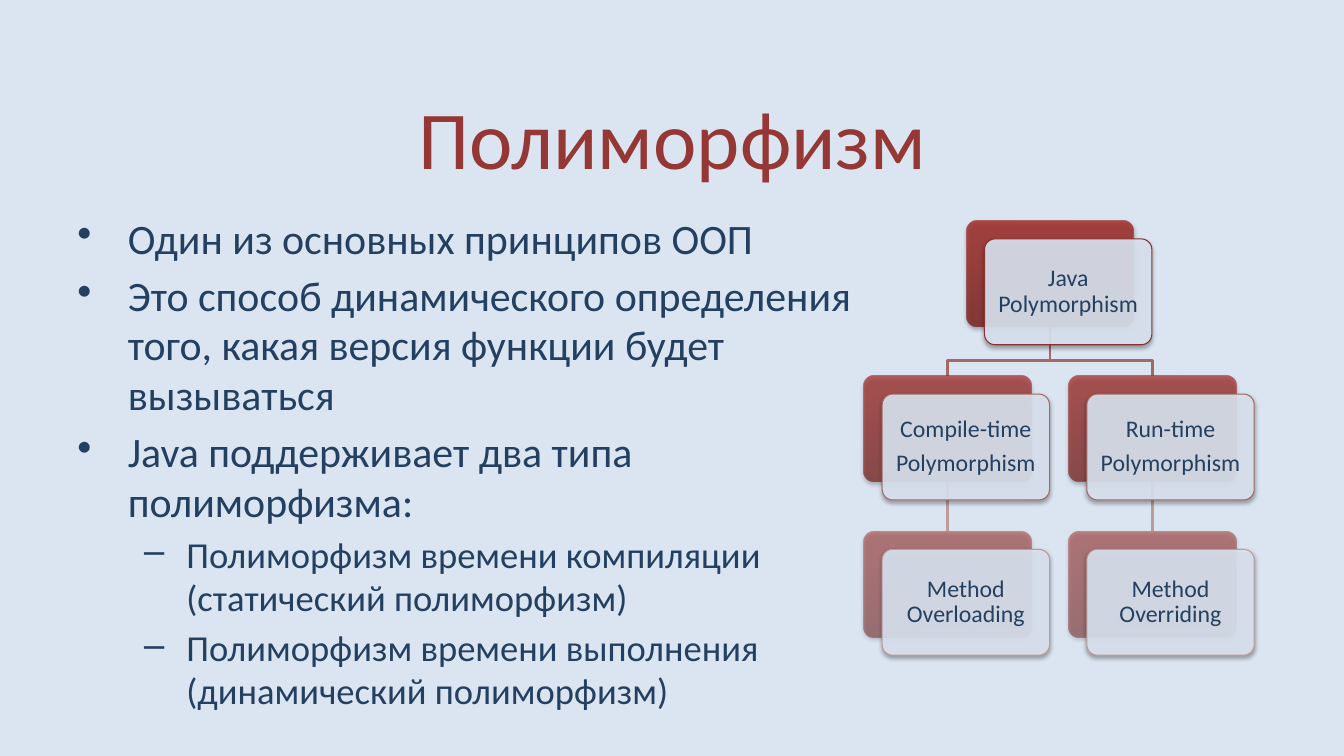
from pptx import Presentation
from pptx.dml.color import RGBColor
from pptx.enum.shapes import MSO_CONNECTOR, MSO_SHAPE
from pptx.enum.text import MSO_ANCHOR, PP_ALIGN
from pptx.oxml import parse_xml
from pptx.oxml.ns import nsdecls, qn
from pptx.oxml.xmlchemy import OxmlElement
from pptx.util import Inches, Pt

FONT = "Calibri"
BACKGROUND, TITLE_COLOR, TEXT_COLOR = "DBE5F1", "953734", "244061"
GRADIENT = ((0, "7A1F1C"), (80, "9E2824"), (100, "A22622"))

CARD_WIDTH, CARD_HEIGHT, CARD_OFFSET = 1.66, 1.05, 0.18
TREE_LEFT, TREE_TOP = 8.57, 2.19
COLUMN_STEP, ROW_STEP = 2.03, 1.54
BRANCH_DROP = 0.34
LEVEL_LINES = ("87322F", "A46867", "BD9B9B")
LEVEL_OPACITY = (80, 70, 50)

# column, level, lines of the card
CARDS = (
    (0.5, 0, ["Java Polymorphism"]),
    (0, 1, ["Compile-time", "Polymorphism"]),
    (0, 2, ["Method Overloading"]),
    (1, 1, ["Run-time", "Polymorphism"]),
    (1, 2, ["Method Overriding"]),
)

# level, text
BULLETS = (
    (0, "Один из основных принципов ООП"),
    (0, "Это способ динамического определения того, какая версия функции будет вызываться"),
    (0, "Java поддерживает два типа полиморфизма:"),
    (1, "Полиморфизм времени компиляции (статический полиморфизм)"),
    (1, "Полиморфизм времени выполнения (динамический полиморфизм)"),
)
# symbol, left margin, hanging indent, size
BULLET_STYLES = (("•", 0.5, 0.5, 29.9), ("–", 1.08, 0.42, 26.1))


def color(hex_string):
    return RGBColor.from_string(hex_string)


def write(paragraph, text, size, text_color=TEXT_COLOR, align=PP_ALIGN.LEFT,
          line_spacing=None, before=0, after=0):
    paragraph.alignment = align
    paragraph.line_spacing = line_spacing
    paragraph.space_before, paragraph.space_after = Pt(before), Pt(after)
    run = paragraph.add_run()
    run.text = text
    run.font.name, run.font.size = FONT, Pt(size)
    run.font.color.rgb = color(text_color)


def paragraphs(frame, count):
    """Return the given number of paragraphs, the first one included."""
    return [frame.paragraphs[0]] + [frame.add_paragraph() for _ in range(count - 1)]


def card_corner(column, level):
    return TREE_LEFT + column * COLUMN_STEP, TREE_TOP + level * ROW_STEP


class TreeSlide:
    def __init__(self, presentation):
        self.slide = presentation.slides.add_slide(presentation.slide_layouts[5])
        self.shapes = self.slide.shapes
        fill = self.slide.background.fill
        fill.solid()
        fill.fore_color.rgb = color(BACKGROUND)

    def title(self, text, left, top, width, height):
        title = self.shapes.title
        title.left, title.top = Inches(left), Inches(top)
        title.width, title.height = Inches(width), Inches(height)
        title.text_frame.vertical_anchor = MSO_ANCHOR.MIDDLE
        write(title.text_frame.paragraphs[0], text, 58.7, TITLE_COLOR, PP_ALIGN.CENTER)

    def bullets(self, items, left, top, width, height):
        box = self.shapes.add_textbox(Inches(left), Inches(top), Inches(width), Inches(height))
        frame = box.text_frame
        frame.word_wrap = True
        rows = zip(paragraphs(frame, len(items)), items)
        for index, (paragraph, (level, text)) in enumerate(rows):
            symbol, margin, hanging, size = BULLET_STYLES[level]
            paragraph.level = level
            write(paragraph, text, size, line_spacing=0.98,
                  align=PP_ALIGN.LEFT if index else PP_ALIGN.JUSTIFY,
                  before=size * 0.2 if index else 0)
            properties = paragraph._p.get_or_add_pPr()
            properties.set("marL", str(Inches(margin)))
            properties.set("indent", str(-Inches(hanging)))
            bullet = OxmlElement("a:buChar")
            bullet.set("char", symbol)
            properties.append(bullet)

    def line(self, points, line_color):
        """Draw an open line through the points: straight or with corners."""
        points = [(Inches(x), Inches(y)) for x, y in points]
        if len(points) == 2:
            shape = self.shapes.add_connector(MSO_CONNECTOR.STRAIGHT, *points[0], *points[1])
            shape._element.spPr.append(OxmlElement("a:effectLst"))
        else:
            builder = self.shapes.build_freeform(*points[0])
            builder.add_line_segments(points[1:], close=False)
            shape = builder.convert_to_shape()
            shape.fill.background()
            shape.shadow.inherit = False
        shape.line.color.rgb = color(line_color)
        shape.line.width = Pt(2)

    def rounded(self, left, top):
        """Add a rounded rectangle of card size with a soft shadow."""
        shape = self.shapes.add_shape(MSO_SHAPE.ROUNDED_RECTANGLE, Inches(left), Inches(top),
                                      Inches(CARD_WIDTH), Inches(CARD_HEIGHT))
        shape.adjustments[0] = 0.1
        shape.shadow.inherit = False
        shape._element.spPr.find(qn("a:effectLst")).append(parse_xml(
            f'<a:outerShdw {nsdecls("a")} blurRad="{Pt(3.1)}" dist="{Pt(1.8)}" dir="5400000"'
            ' rotWithShape="0"><a:srgbClr val="000000"><a:alpha val="35000"/></a:srgbClr>'
            '</a:outerShdw>'))
        return shape

    def card(self, column, level, lines):
        left, top = card_corner(column, level)
        back = self.rounded(left, top)
        back.line.fill.background()
        back.fill.background()
        properties = back._element.spPr
        stops = "".join(
            f'<a:gs pos="{position * 1000}"><a:srgbClr val="{stop_color}">'
            f'<a:alpha val="{LEVEL_OPACITY[level] * 1000}"/></a:srgbClr></a:gs>'
            for position, stop_color in GRADIENT)
        properties.replace(properties.find(qn("a:noFill")), parse_xml(
            f'<a:gradFill {nsdecls("a")} rotWithShape="1"><a:gsLst>{stops}</a:gsLst>'
            '<a:lin ang="16200000" scaled="0"/></a:gradFill>'))

        front = self.rounded(left + CARD_OFFSET, top + CARD_OFFSET)
        front.fill.solid()
        front.fill.fore_color.rgb = color(BACKGROUND)
        alpha = OxmlElement("a:alpha")
        alpha.set("val", "90000")
        front._element.spPr.find(qn("a:solidFill"))[0].append(alpha)
        front.line.color.rgb = color(LEVEL_LINES[level])
        front.line.width = Pt(0.75)
        frame = front.text_frame
        frame.word_wrap = True
        frame.vertical_anchor = MSO_ANCHOR.MIDDLE
        frame.margin_left = frame.margin_right = Inches(0.07)
        frame.margin_top = frame.margin_bottom = Inches(0.07)
        for paragraph, text in zip(paragraphs(frame, len(lines)), lines):
            write(paragraph, text, 17, align=PP_ALIGN.CENTER, line_spacing=0.9, after=6)

    def branch(self, parent, child):
        """Join two cards, each given as column and level."""
        (left, top), (child_left, child_top) = card_corner(*parent), card_corner(*child)
        start_x, end_x = left + CARD_WIDTH / 2, child_left + CARD_WIDTH / 2
        start_y = top + CARD_HEIGHT
        corners = []
        if parent[0] != child[0]:
            corners = [(start_x, start_y + BRANCH_DROP), (end_x, start_y + BRANCH_DROP)]
        self.line([(start_x, start_y), *corners, (end_x, child_top)], LEVEL_LINES[child[1]])


def main():
    presentation = Presentation()
    presentation.slide_width, presentation.slide_height = Inches(13.33), Inches(7.5)
    slide = TreeSlide(presentation)
    slide.title("Полиморфизм", 0.67, 0.73, 12, 1.25)
    slide.bullets(BULLETS, 0.67, 2.08, 8.09, 4.39)
    for column in (1, 0):
        slide.branch((column, 1), (column, 2))
        slide.branch((0.5, 0), (column, 1))
    for column, level, lines in CARDS:
        slide.card(column, level, lines)
    presentation.save("out.pptx")


if __name__ == "__main__":
    main()
